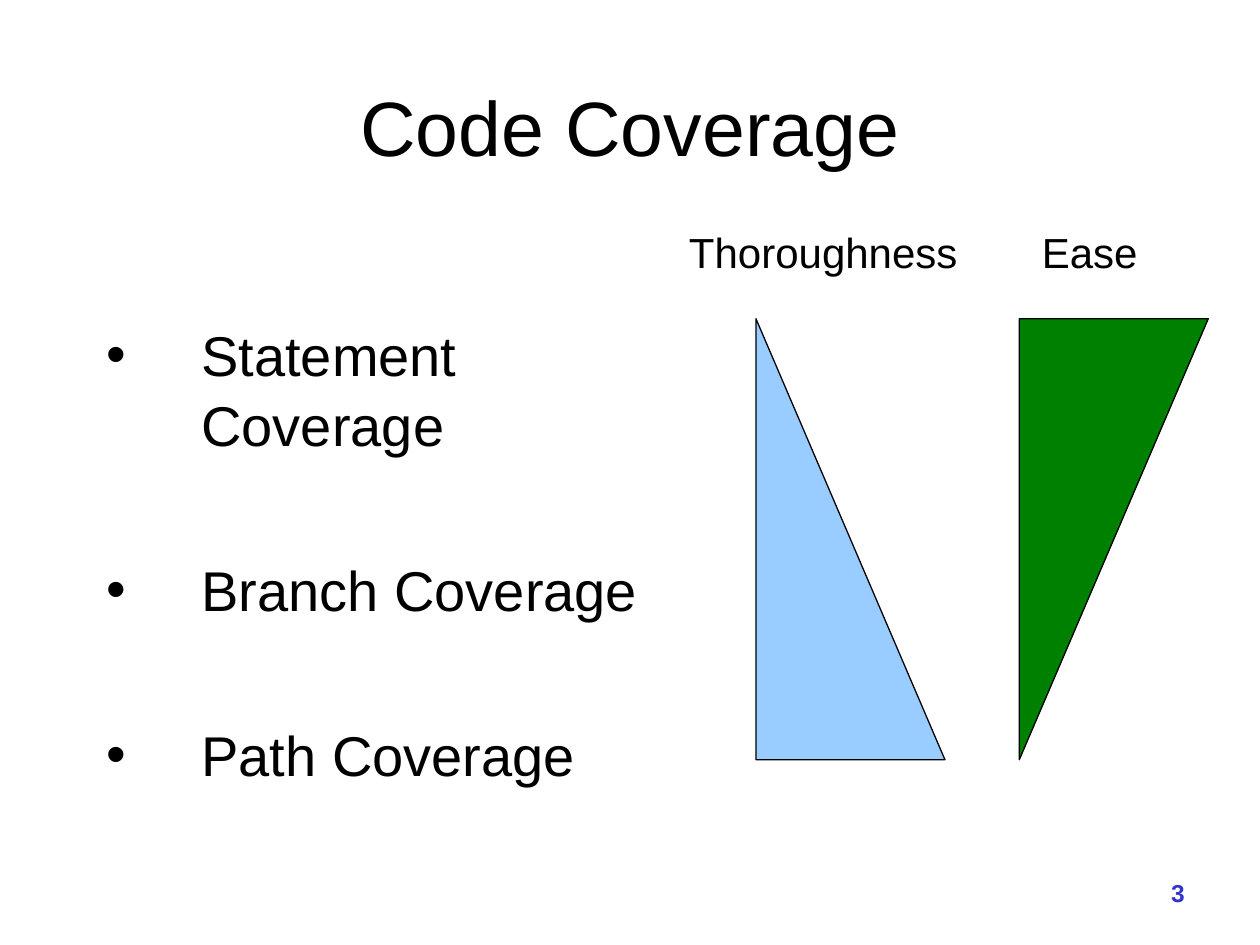
from dataclasses import dataclass
from typing import Any

from lxml.etree import SubElement
from pptx import Presentation
from pptx.dml.color import RGBColor
from pptx.enum.shapes import MSO_SHAPE
from pptx.enum.text import MSO_ANCHOR, PP_ALIGN
from pptx.oxml.ns import qn
from pptx.util import Inches, Pt


def rgb(code):
    return RGBColor.from_string(code)


@dataclass
class SlideBuilder:
    """Hold the slide and its style, and draw each kind of element."""

    slide: Any
    font: str = "Arial"
    ink: str = "000000"

    def text(self, box, lines, size, color=None, bold=False, bullet=False,
             frame_format=None, **paragraph_format):
        shape = self.slide.shapes.add_textbox(*map(Inches, box))
        frame = shape.text_frame
        for key, value in {"word_wrap": True, **(frame_format or {})}.items():
            setattr(frame, key, value)
        for index, line in enumerate(lines):
            paragraph = frame.add_paragraph() if index else frame.paragraphs[0]
            paragraph.text = line
            for key, value in paragraph_format.items():
                if index or key != "space_before":
                    setattr(paragraph, key, value)
            if bullet:
                self.bullet(paragraph)
            font_format = {"name": self.font, "size": Pt(size), "bold": bold}
            for key, value in font_format.items():
                setattr(paragraph.runs[0].font, key, value)
            paragraph.runs[0].font.color.rgb = rgb(color or self.ink)

    def bullet(self, paragraph, indent=0.75):
        properties = paragraph._p.get_or_add_pPr()
        properties.set("marL", str(Inches(indent)))
        properties.set("indent", str(-Inches(indent)))
        SubElement(properties, qn("a:buFont"), typeface=self.font)
        SubElement(properties, qn("a:buChar"), char="•")

    def wedge(self, box, fill, flipped=False):
        triangle = self.slide.shapes.add_shape(
            MSO_SHAPE.RIGHT_TRIANGLE, *map(Inches, box))
        triangle.shadow.inherit = False
        triangle.fill.solid()
        triangle.fill.fore_color.rgb = rgb(fill)
        triangle.line.color.rgb = rgb(self.ink)
        triangle.line.width = Pt(0.75)
        if flipped:
            triangle._element.spPr.get_or_add_xfrm().set("flipV", "1")


def main():
    deck = Presentation()
    deck.slide_width, deck.slide_height = Inches(10), Inches(7.5)
    builder = SlideBuilder(deck.slides.add_slide(deck.slide_layouts[6]))

    builder.text((0.75, 0.5, 8.5, 0.99), ["Code Coverage"], 44,
                 frame_format={"vertical_anchor": MSO_ANCHOR.MIDDLE},
                 alignment=PP_ALIGN.CENTER)
    coverage_levels = ["Statement Coverage", "Branch Coverage", "Path Coverage"]
    builder.text((0.75, 2.44, 4.75, 4.5), coverage_levels, 32, bullet=True,
                 line_spacing=1.04, space_before=Pt(54.5),
                 frame_format={"margin_top": Inches(0.08)})

    measures = [
        ("Thoroughness", 5.37, 2.33, 6, "99CCFF", False),
        ("Ease", 8.17, 0.96, 8.09, "008000", True),
    ]
    for label, label_left, label_width, wedge_left, fill, flipped in measures:
        builder.wedge((wedge_left, 2.53, 1.5, 3.5), fill, flipped)
        builder.text((label_left, 1.75, label_width, 0.5), [label], 24,
                     frame_format={"word_wrap": False})

    builder.text((7.42, 6.92, 2.08, 0.41), ["3"], 14, "3333CC", bold=True,
                 alignment=PP_ALIGN.RIGHT)
    deck.save("out.pptx")


if __name__ == "__main__":
    main()
